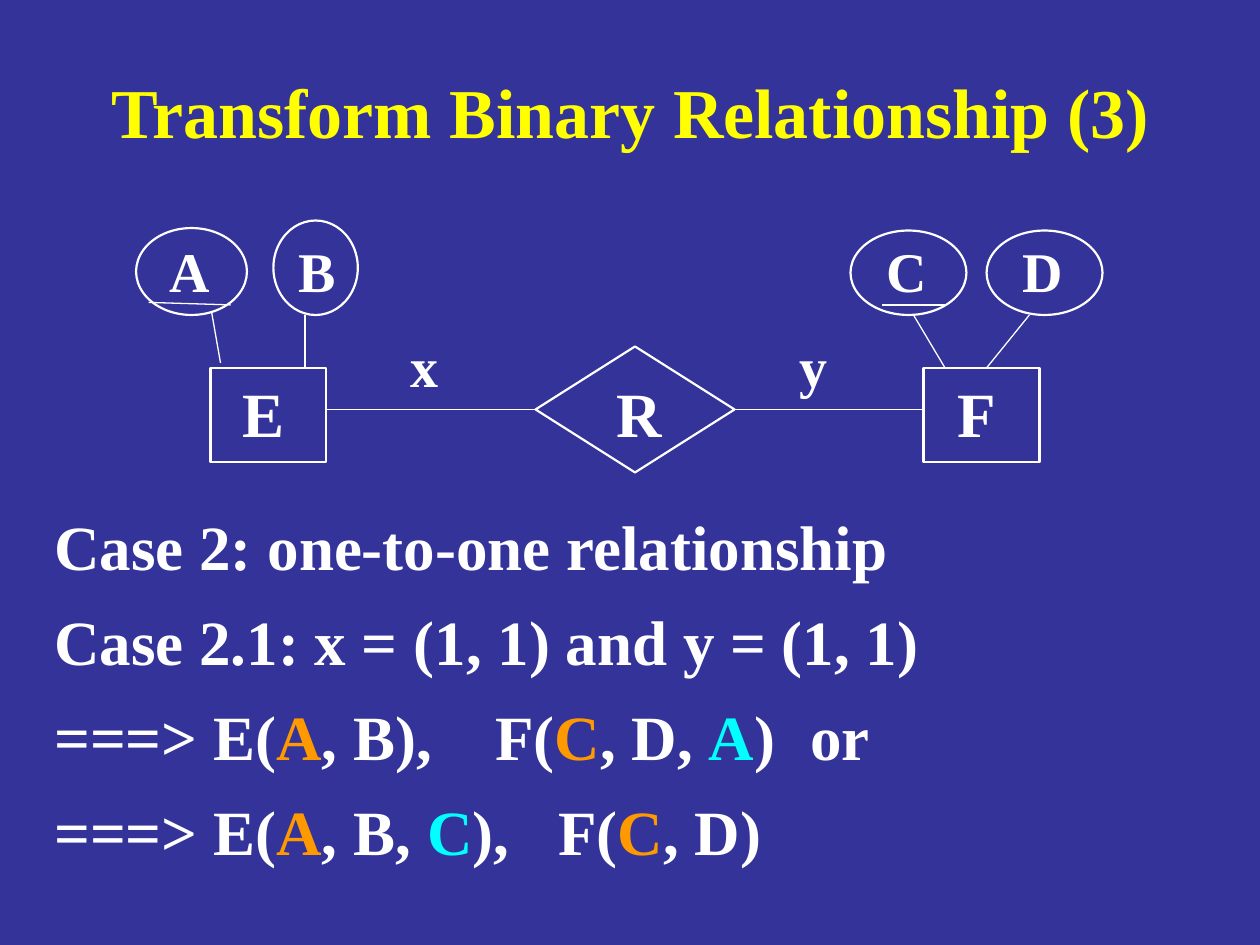
import pptx
import pptx.util
import pptx.dml.color
import pptx.enum.shapes
import pptx.enum.text
import pptx.oxml

Inches = pptx.util.Inches
Pt = pptx.util.Pt
RGBColor = pptx.dml.color.RGBColor
SHAPE = pptx.enum.shapes.MSO_SHAPE
ALIGN = pptx.enum.text.PP_ALIGN
ANCHOR = pptx.enum.text.MSO_ANCHOR

NAVY = RGBColor(0x33, 0x33, 0x99)
YELLOW = RGBColor(0xFF, 0xFF, 0x00)
WHITE = RGBColor(0xFF, 0xFF, 0xFF)
ORANGE = RGBColor(0xFF, 0x99, 0x00)
CYAN = RGBColor(0x00, 0xFF, 0xFF)
FONT = "Times New Roman"
DRAWING_NS = 'xmlns:a="http://schemas.openxmlformats.org/drawingml/2006/main"'


def add_text(para, text, size=36, color=WHITE):
    span = para.add_run()
    span.text = text
    span.font.name = FONT
    span.font.size = Pt(size)
    span.font.bold = True
    span.font.color.rgb = color


def place(shape, left, top, width, height):
    shape.left, shape.top = Inches(left), Inches(top)
    shape.width, shape.height = Inches(width), Inches(height)


def add_outline(page, kind, left, top, width, height):
    shape = page.shapes.add_shape(
        kind, Inches(left), Inches(top), Inches(width), Inches(height))
    shape.shadow.inherit = False
    shape.fill.background()
    shape.line.color.rgb = WHITE
    shape.line.width = Pt(1.25)
    return shape


def add_line(page, start, end):
    line = page.shapes.add_connector(
        pptx.enum.shapes.MSO_CONNECTOR.STRAIGHT,
        Inches(start[0]), Inches(start[1]), Inches(end[0]), Inches(end[1]))
    line.line.color.rgb = WHITE
    line.line.width = Pt(0.75)
    line._element.spPr.append(
        pptx.oxml.parse_xml(f"<a:effectLst {DRAWING_NS}/>"))
    return line


def add_label(page, text, center, top, size=32):
    width = 0.7
    box = page.shapes.add_textbox(
        Inches(center - width / 2), Inches(top), Inches(width),
        Inches(0.7 if size == 36 else 0.64))
    box.text_frame.word_wrap = True
    para = box.text_frame.paragraphs[0]
    para.alignment = ALIGN.CENTER
    add_text(para, text, size=size)


def add_title(page, left, top, width, height):
    title = page.shapes.title
    place(title, left, top, width, height)
    title.text_frame.vertical_anchor = ANCHOR.MIDDLE
    para = title.text_frame.paragraphs[0]
    para.alignment = ALIGN.CENTER
    add_text(para, "Transform Binary Relationship (3)", size=40, color=YELLOW)


def add_entity(page, left, top, name, name_x, box_x, attributes, lines):
    """Entity rectangle below its attribute ellipses; offsets from left, top."""
    for text, center, ellipse in attributes:
        x, y, width, height = ellipse
        add_outline(page, SHAPE.OVAL, left + x, top + y, width, height)
        add_label(page, text, left + center, top + 0.08)
    add_outline(page, SHAPE.RECTANGLE, left + box_x, top + 1.17, 0.92, 0.75)
    add_label(page, name, left + name_x, top + 1.17, size=36)
    for (x1, y1), (x2, y2) in lines:
        add_line(page, (left + x1, top + y1), (left + x2, top + y2))


def add_relationship(page, left, top, width, height):
    """Diamond in the middle, with a line to the entity at either end."""
    middle = top + height / 2
    diamond_left, diamond_right = left + 1.67, left + width - 1.5
    diamond = add_outline(page, SHAPE.DIAMOND, diamond_left, top,
                          diamond_right - diamond_left, height)
    add_label(page, "R", left + 2.49, top + 0.17, size=36)
    line = add_line(page, (left, middle), (diamond_left, middle))
    line.end_connect(diamond, 3 - 2)
    line = add_line(page, (diamond_right, middle), (left + width, middle))
    line.begin_connect(diamond, 3)
    for text, center in (("x", 0.79), ("y", 3.88)):
        add_label(page, text, left + center, top - 0.17)


def add_cases(page, left, top, width, height):
    body = page.placeholders[1]
    place(body, left, top, width, height)
    frame = body.text_frame
    frame.word_wrap = True
    # Each line: tab stops in inches, then its spans
    cases = (
        ((), [("Case 2: one-to-one relationship", WHITE)]),
        ((), [("Case 2.1: x = (1, 1) and y = (1, 1)", WHITE)]),
        ((3.26, 5.73), [
            ("===> E(", WHITE), ("A", ORANGE), (", B),\tF(", WHITE),
            ("C", ORANGE), (", D, ", WHITE), ("A", CYAN), (")\tor", WHITE)]),
        ((3.87,), [
            ("===> E(", WHITE), ("A", ORANGE), (", B, ", WHITE), ("C", CYAN),
            ("),\tF(", WHITE), ("C", ORANGE), (", D)", WHITE)]),
    )
    for index, (stops, spans) in enumerate(cases):
        para = frame.add_paragraph() if index else frame.paragraphs[0]
        para.space_before = Pt(11 if index else 0)
        properties = para._p.get_or_add_pPr()
        properties.set("marL", "0")
        properties.set("indent", "0")
        properties.append(pptx.oxml.parse_xml(f"<a:buNone {DRAWING_NS}/>"))
        if stops:
            tabs = "".join(f'<a:tab pos="{Inches(stop)}" algn="l"/>'
                           for stop in stops)
            properties.append(pptx.oxml.parse_xml(
                f"<a:tabLst {DRAWING_NS}>{tabs}</a:tabLst>"))
        for text, color in spans:
            add_text(para, text, color=color)


def main():
    deck = pptx.Presentation()
    deck.slide_width, deck.slide_height = Inches(10), Inches(7.5)
    page = deck.slides.add_slide(deck.slide_layouts[1])
    page.background.fill.solid()
    page.background.fill.fore_color.rgb = NAVY

    add_title(page, 0.75, 0.42, 8.5, 0.92)
    add_cases(page, 0.33, 3.98, 9.33, 3.19)

    # Entity E: key underline, then the attribute lines
    add_entity(
        page, 1.08, 1.75, "E", 1.01, 0.59,
        [("A", 0.43, (0, 0.06, 0.88, 0.69)),
         ("B", 1.44, (1.09, 0, 0.67, 0.75))],
        [((0.1, 0.65), (0.75, 0.67)),
         ((0.67, 1.13), (0.6, 0.73)),
         ((1.34, 1.17), (1.34, 0.75))])

    # Entity F: key underline, then the attribute lines
    add_entity(
        page, 6.75, 1.75, "F", 1, 0.58,
        [("C", 0.45, (0, 0.08, 0.92, 0.67)),
         ("D", 1.53, (1.08, 0.08, 0.92, 0.67))],
        [((0.25, 0.67), (0.75, 0.67)),
         ((0.5, 0.75), (0.75, 1.17)),
         ((1.42, 0.75), (1.08, 1.17))])

    add_relationship(page, 2.58, 2.75, 4.75, 1)
    deck.save("out.pptx")


if __name__ == "__main__":
    main()
